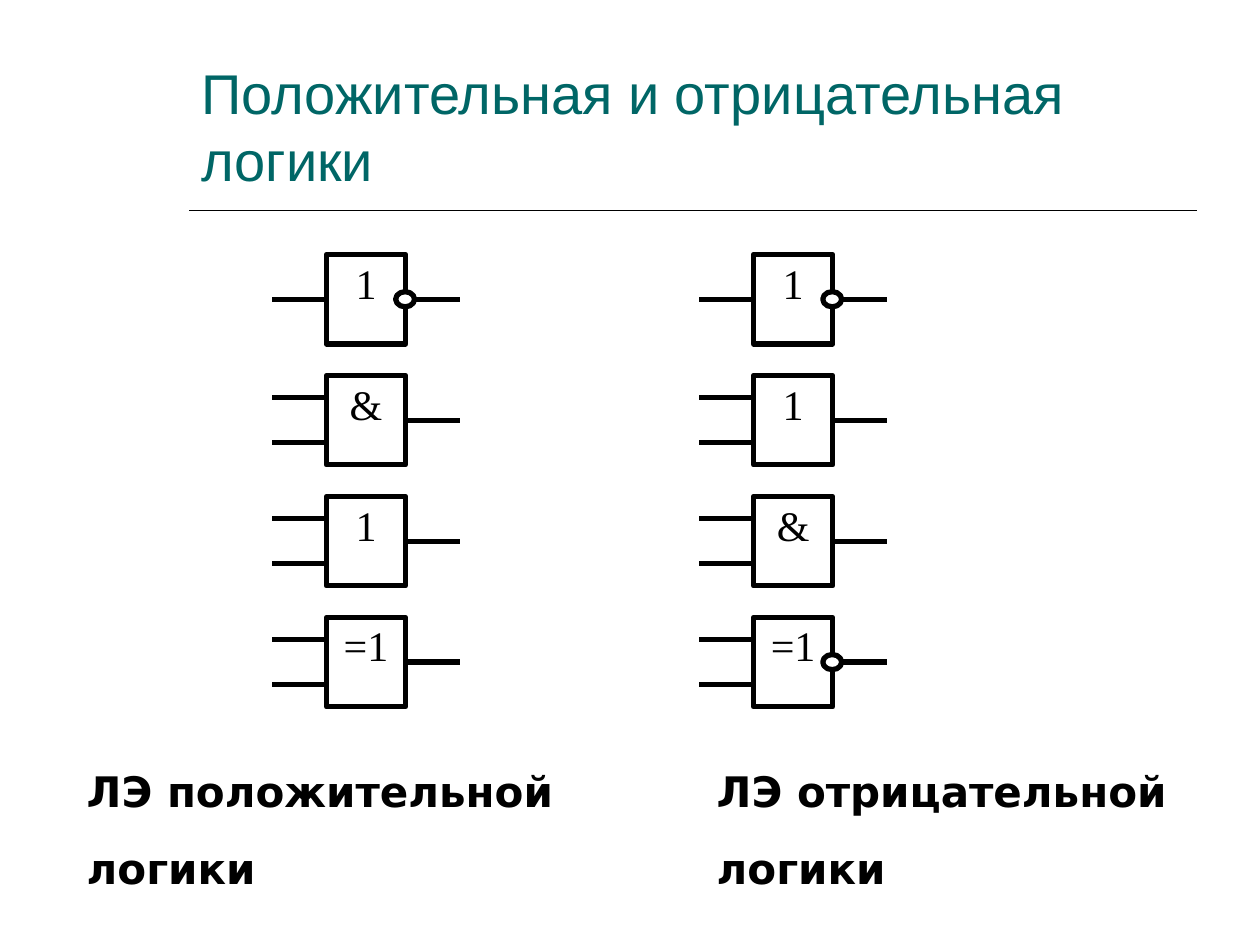
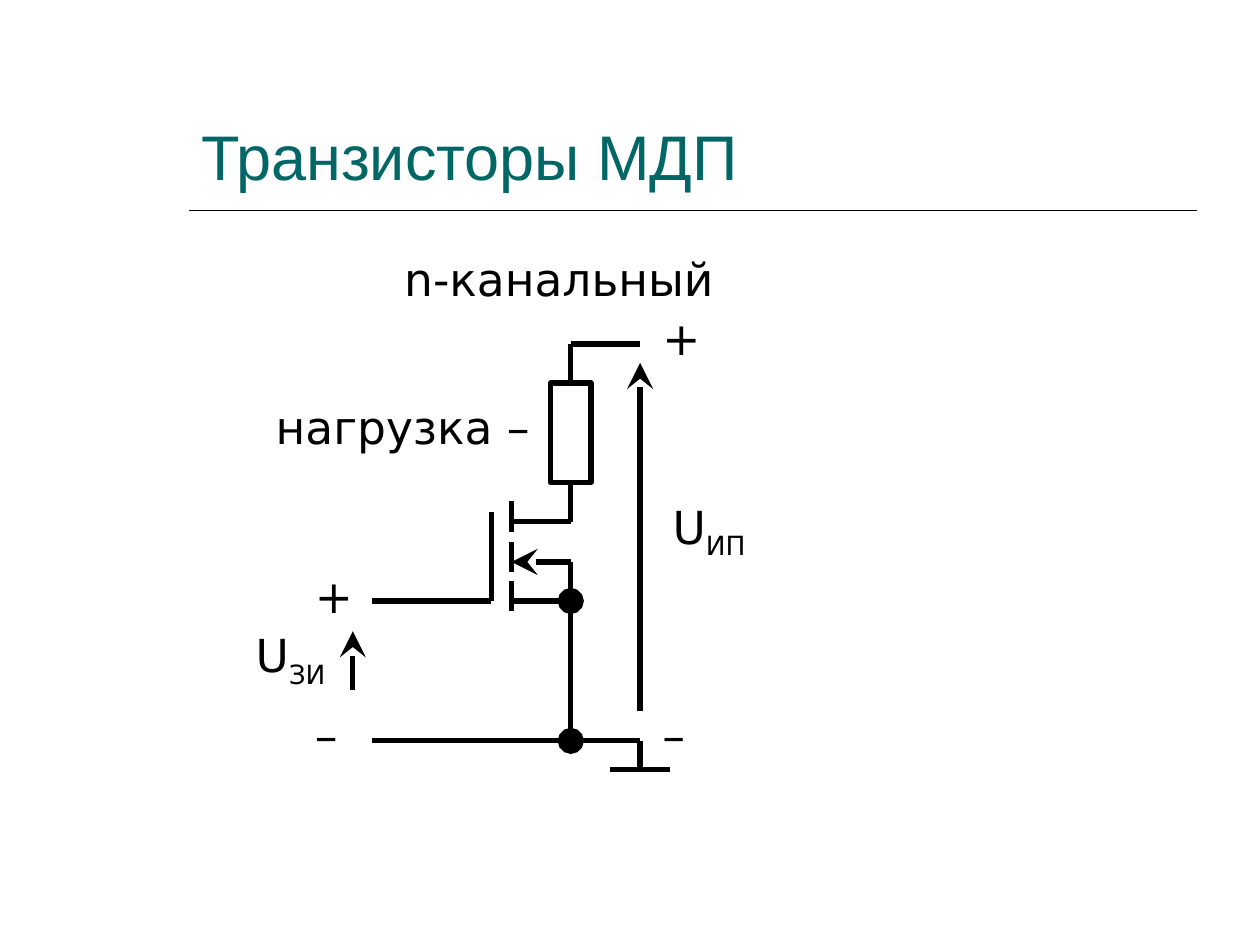
from dataclasses import dataclass

from lxml import etree
from pptx import Presentation
from pptx.dml.color import RGBColor
from pptx.enum.shapes import MSO_CONNECTOR, MSO_SHAPE
from pptx.enum.text import MSO_ANCHOR, PP_ALIGN
from pptx.oxml.ns import qn
from pptx.util import Inches, Pt

LINE = MSO_CONNECTOR.STRAIGHT
RECT, OVAL = MSO_SHAPE.RECTANGLE, MSO_SHAPE.OVAL
TOP, BASE = MSO_ANCHOR.TOP, MSO_ANCHOR.BOTTOM
LEFT, MID = PP_ALIGN.LEFT, PP_ALIGN.CENTER


@dataclass(frozen=True)
class Theme:
    """Colours, fonts and sizes of the deck."""
    ink: RGBColor = RGBColor(0, 0, 0)
    paper: RGBColor = RGBColor(255, 255, 255)
    teal: RGBColor = RGBColor(0, 0x66, 0x66)
    head: str = "Arial"
    body: str = "DejaVu Sans"
    sign: str = "Times New Roman"
    small: int = 24
    large: int = 26
    gap: int = 15
    thin: int = 1
    bold: int = 3


class Deck:
    """Holds the theme and the current slide and draws elements on it."""

    def __init__(self):
        """Open an empty deck."""
        self.theme = Theme()
        self.file = Presentation()
        self.file.slide_width, self.file.slide_height = Inches(10), Inches(7.5)

    def page(self, title, size):
        """Start a slide with its title and rule."""
        self.slide = self.file.slides.add_slide(self.file.slide_layouts[6])
        self.shapes = self.slide.shapes
        self.wire((1.5, 1.67), (9.5, 1.67), width=self.theme.thin)
        box = self.text((1.5, 0.33, 8, 1.25), [title], size,
                        self.theme.head, self.theme.teal)
        box.text_frame.vertical_anchor = BASE

    def style(self, para, size, face, tint=None, bold=False, align=LEFT):
        """Set the font and alignment of a paragraph."""
        para.alignment = align
        font = para.font
        font.size, font.name, font.bold = Pt(size), face, bold
        font.color.rgb = tint or self.theme.ink

    def text(self, area, lines, size, face=None, tint=None, bold=False):
        """Add a text box with one paragraph per line."""
        box = self.shapes.add_textbox(*map(Inches, area))
        frame = box.text_frame
        frame.word_wrap = True
        for i, line in enumerate(lines):
            para = frame.add_paragraph() if i else frame.paragraphs[0]
            para.text = line
            if i:
                para.space_before = Pt(self.theme.gap)
            self.style(para, size, face or self.theme.body, tint, bold)
        return box

    def label(self, left, top, word, sub="", width=0.87):
        """Add a circuit label with an optional subscript."""
        box = self.text((left, top, width, 0.54), [word], self.theme.large)
        if sub:
            run = box.text_frame.paragraphs[0].add_run()
            run.text = sub
            run._r.get_or_add_rPr().set("baseline", "-25000")

    def block(self, kind, area, sign=""):
        """Add an outlined shape with an optional sign."""
        shape = self.shapes.add_shape(kind, *map(Inches, area))
        shape.shadow.inherit = False
        shape.fill.solid()
        shape.fill.fore_color.rgb = self.theme.paper
        shape.line.color.rgb = self.theme.ink
        shape.line.width = Pt(self.theme.bold)
        if sign:
            frame = shape.text_frame
            frame.vertical_anchor = TOP
            frame.margin_left = frame.margin_right = Inches(0.02)
            frame.margin_top, frame.margin_bottom = Inches(0.02), Inches(0.05)
            para = frame.paragraphs[0]
            para.text = sign
            self.style(para, self.theme.small, self.theme.sign, align=MID)
        return shape

    def wire(self, start, end, tip=None, width=None, first=None, last=None):
        """Draw a line, with a tip or joined to a (shape, site) pair."""
        link = self.shapes.add_connector(LINE, *map(Inches, start + end))
        link.line.color.rgb = self.theme.ink
        link.line.width = Pt(width or self.theme.bold)
        if tip:
            etree.SubElement(link.line._get_or_add_ln(), qn("a:tailEnd"),
                             type=tip, w="lg", len="lg")
        etree.SubElement(link._element.spPr, qn("a:effectLst"))
        if first:
            link.begin_connect(*first)
        if last:
            link.end_connect(*last)

    def gate(self, left, top, sign, pins, invert):
        """Draw a logic gate with its inputs and output."""
        wide, high, lead = 0.63, 0.71, 0.43
        right, axis = left + wide, top + high / 2
        body = self.block(RECT, (left, top, wide, high), sign)
        if pins == 1:
            self.wire((left - lead, axis), (left, axis), last=(body, 1))
        else:
            for y in (top + high / 4, top + high * 3 / 4):
                self.wire((left - lead, y), (left, y))
        self.wire((right, axis), (right + lead, axis), first=(body, 3))
        if invert:
            self.block(OVAL, (right - 0.08, axis - 0.06, 0.15, 0.12))


def logic(deck):
    """Build the slide on positive and negative logic."""
    deck.page("Положительная и отрицательная логики", 32)
    sides = (
        (2.59, 0.59, "ЛЭ положительной",
         (("1", 1, True), ("&", 2, False), ("1", 2, False), ("=1", 2, False))),
        (5.98, 5.59, "ЛЭ отрицательной",
         (("1", 1, True), ("1", 2, False), ("&", 2, False), ("=1", 2, True))),
    )
    for left, edge, name, gates in sides:
        for row, (sign, pins, invert) in enumerate(gates):
            deck.gate(left, 2.02 + 0.96 * row, sign, pins, invert)
        deck.text((edge, 6.03, 4.1, 1.1), [name, "логики"],
                  deck.theme.small, bold=True)


def mosfet(deck):
    """Build the slide on the transistor circuit."""
    deck.page("Транзисторы МДП", 36)
    port, gate, body, drain, rail = 2.95, 3.9, 4.06, 4.53, 5.08
    high, upper, mid, lower, ground, earth = 2.73, 4.14, 4.46, 4.77, 5.88, 6.11

    load = deck.block(RECT, (4.37, 3.04, 0.32, 0.79))
    deck.wire((drain, high), (drain, 3.04), last=(load, 0))
    deck.wire((drain, 3.83), (drain, upper), first=(load, 2))
    for y in (upper, mid, lower):
        deck.wire((body, y - 0.16), (body, y + 0.08))
    wires = (
        ((drain, high), (rail, high)),
        ((body, upper), (drain, upper)),
        ((body, lower), (drain, lower)),
        ((drain, mid), (drain, lower)),
        ((gate, 4.06), (gate, lower)),
        ((port, lower), (gate, lower)),
        ((drain, ground), (rail, ground)),
        ((rail, ground), (rail, earth)),
        ((rail - 0.24, earth), (rail + 0.24, earth)),
    )
    for start, end in wires:
        deck.wire(start, end)
    for start, end, tip in (
        ((drain, mid), (body, mid), "stealth"),
        ((2.8, 5.48), (2.8, 5.01), "stealth"),
        ((rail, 5.64), (rail, 2.88), "stealth"),
        ((drain, ground), (drain, lower), "oval"),
        ((port, ground), (drain, ground), "oval"),
    ):
        deck.wire(start, end, tip)

    deck.label(3.11, 1.94, "n-канальный", width=2.91)
    deck.label(2.09, 3.12, "нагрузка –", width=2.6)
    deck.label(1.93, 4.93, "U", "ЗИ")
    deck.label(5.24, 3.91, "U", "ИП")
    for left, top, sign in ((2.4, 4.46, "+"), (2.4, 5.56, "–"),
                            (5.16, 2.41, "+"), (5.16, 5.56, "–")):
        deck.label(left, top, sign)


def main():
    """Build and save the deck."""
    deck = Deck()
    logic(deck)
    mosfet(deck)
    deck.file.save("out.pptx")


if __name__ == "__main__":
    main()
